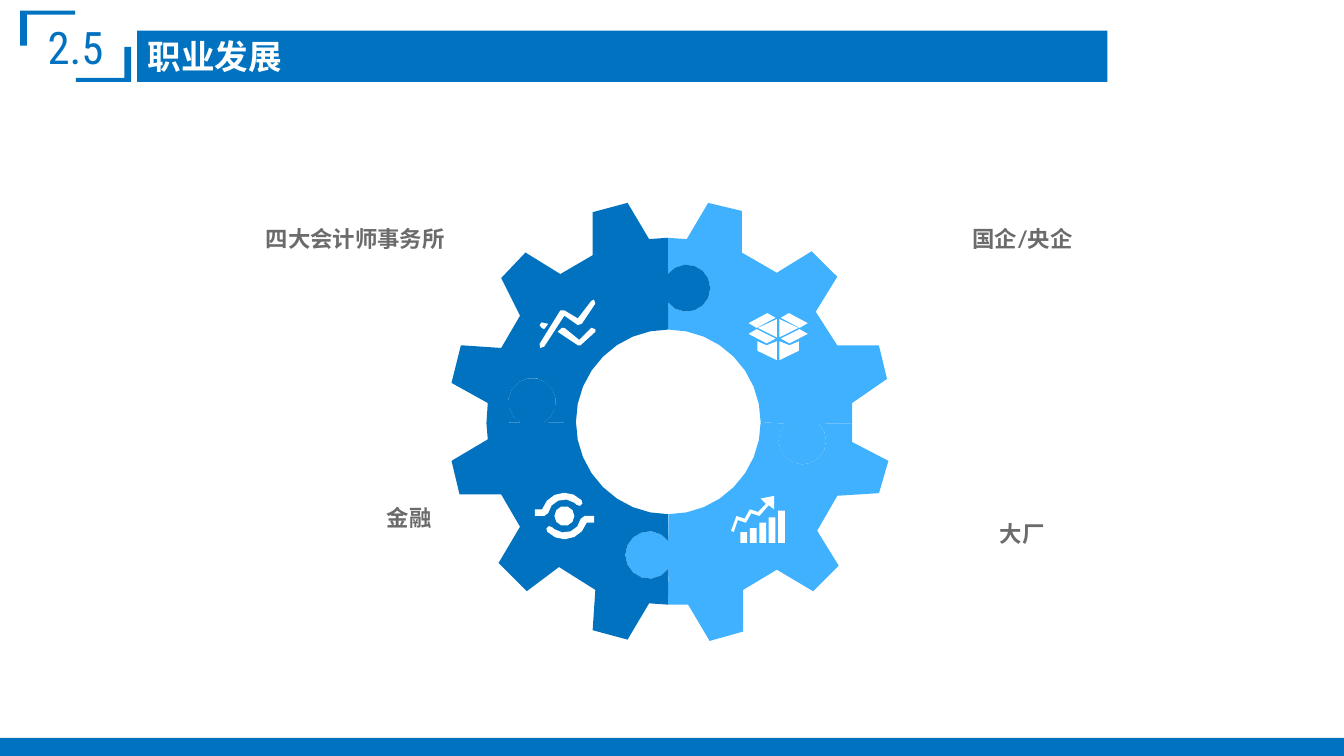
import math

import pptx
import pptx.dml.color
import pptx.enum.shapes
import pptx.enum.text
import pptx.util

BLUE, SKY, WHITE, GREY = "0072BF", "3FB1FF", "FFFFFF", "6B6B6B"
UNIT = 0.0254  # outline points are hundredths of an inch, in cm
SAG = 0.4  # how far a chord may stray from its arc, in the same unit

# An outline mixes points (x, y) and arcs (x, y, radius, from, to) in degrees.
RIGHT = (597, 328, 17.7, 225, -45)
LEFT = (396, 299, 17.7, 119, 423)
TOP = (511, 214.5, 17.5, 143, -143)
BASE = (483, 413, 17.7, 36, 324)


def flip(arc):
    """Run an arc the other way."""
    return arc[:3] + (arc[4], arc[3])


def hub(start, end):
    return (497.3, 314, 68.7, start, end)


PARTS = [
    (SKY, [hub(90, 0), RIGHT, (634, 315), (634, 329),
           (661, 343), (654, 367), (623, 369), (608, 395), (624, 421),
           (605, 440), (578, 424), (553, 439), (553, 470), (528, 477),
           (512, 450), (497, 450), BASE]),
    (SKY, [(634, 315), flip(RIGHT), hub(0, -90), TOP, (497, 177),
           (511, 178), (527, 151), (552, 157), (552, 188), (578, 203),
           (604, 187), (623, 206), (607, 232), (623, 257), (654, 257),
           (660, 282), (634, 300)]),
    (BLUE, [(497, 383), flip(BASE), (497, 450), (483, 449), (467, 476),
            (441, 469), (443, 439), (416, 422), (392, 440), (371, 419),
            (387, 392), (373, 368), (342, 368), (336, 343), (363, 327),
            (362, 315), LEFT, hub(180, 90)]),
    (BLUE, [hub(-90, -180), flip(LEFT), (362, 315), (363, 300),
            (336, 285), (343, 257), (373, 259), (387, 235), (373, 207),
            (391, 188), (417, 204), (441, 190), (441, 158), (467, 151),
            (483, 178), (497, 177), flip(TOP)]),
]


def turn(line):
    """Rotate an outline by half a turn about the eye."""
    return [(840 - p[0], 768 - p[1]) + ((p[2], p[3] + 180, p[4] + 180) if len(p) > 2 else ())
            for p in line]


def mirror(line):
    return [(1158 - x, y) for x, y in line]


TREND = [(559, 382), (565, 384), (572, 376), (576, 379), (576, 369),
         (566, 371), (570, 375), (564, 381), (558, 379), (554, 386), (548, 384),
         (544, 395), (546, 396), (549, 387), (555, 389)]
BARS = [[(x, 404), (x, y), (x + 5, y), (x + 5, 404)]
        for x, y in zip(range(551, 580, 7), (396, 393, 389, 385, 380))]
HALF = [
    [(564, 244), (578, 237.5), (578, 251)],
    [(577, 252), (563, 245), (557, 248.5), (570.5, 255.5)],
    [(577, 236.5), (571, 233), (557, 240.5), (563, 244)],
    [(563.5, 254), (570.5, 257), (578, 254), (578, 268), (563.5, 261)],
]
LOOP = [(435, 384), (442, 384), (442, 389), (436, 389),
        (420, 384, 17.3, 17, 137), (409, 394, 2.5, 137, 317), (420, 384, 12.3, 127, 10)]
EYE = [(420, 384, 7.4, 0, 360)]
ZIGZAG = [
    [(420, 235), (430, 242), (433, 241), (443, 226), (442, 223),
     (440, 224), (430, 237), (420, 231), (417, 231), (401.5, 256),
     (402, 259), (405, 258)],
    [(440, 244), (431, 253), (420, 244), (418, 244), (415, 247),
     (430, 257), (432, 257), (443, 247), (443, 245)],
    [(403, 244), (405, 245), (408, 241), (403, 240), (401.5, 242)],
]
ICONS = [[TREND] + BARS, HALF + [mirror(h) for h in HALF], [LOOP, turn(LOOP), EYE], ZIGZAG]

CORNER = [(56, 8), (56, 11), (20, 11), (20, 34), (15, 34), (15, 8)]
FRAME = [CORNER, [(112.5 - x, 69 - y) for x, y in CORNER]]

# text, left, top, width, height in cm, wrap
LABELS = [
    ("国企/央企", 18.08, 4.14, 2.44, 0.76, True),
    ("大厂", 18.62, 9.7, 1.37, 0.76, False),
    ("四大会计师事务所", 4.72, 4.14, 3.94, 0.76, False),
    ("金融", 7.04, 9.4, 1.37, 0.76, False),
]
ALIGN = pptx.enum.text.PP_ALIGN
PAD = {"margin_left": 0.2, "margin_right": 0.2, "margin_top": 0.1, "margin_bottom": 0.1}


def cm(*sizes):
    return [pptx.util.Cm(s) for s in sizes]


def tint(form, code):
    """Give a fill or a font colour from a hex string."""
    form.rgb = pptx.dml.color.RGBColor.from_string(code)


def paint(shape, code):
    shape.fill.solid()
    tint(shape.fill.fore_color, code)
    shape.line.fill.background()


def trace(line):
    """Turn an outline into points in EMU."""
    spots = []
    for part in line:
        if len(part) == 2:
            spots.append(part)
            continue
        x, y, r, start, end = part
        step = 2 * math.degrees(math.acos(1 - SAG / r))
        count = math.ceil(abs(end - start) / step)
        for i in range(count + 1):
            angle = math.radians(start + (end - start) * i / count)
            spots.append((x + r * math.cos(angle), y + r * math.sin(angle)))
    return [tuple(cm(x * UNIT, y * UNIT)) for x, y in spots]


def draw(home, lines, code):
    first, *rest = [trace(line) for line in lines]
    pen = home.build_freeform(*first[0], scale=1.0)
    pen.add_line_segments(first[1:], close=True)
    for spots in rest:
        pen.move_to(*spots[0])
        pen.add_line_segments(spots[1:], close=True)
    shape = pen.convert_to_shape()
    shape.shadow.inherit = False
    paint(shape, code)
    return shape


def write(shape, text, code, align, look, wrap=True, pad=None):
    frame = shape.text_frame
    frame.text = text
    frame.word_wrap = wrap
    frame.auto_size = pptx.enum.text.MSO_AUTO_SIZE.NONE
    for name, size in (pad or {}).items():
        setattr(frame, name, pptx.util.Cm(size))
    para = frame.paragraphs[0]
    para.alignment = align
    font = para.runs[0].font
    for name, value in look.items():
        setattr(font, name, value)
    tint(font.color, code)
    return frame


def main():
    deck = pptx.Presentation()
    deck.slide_width, deck.slide_height = cm(25.4, 14.29)
    slide = deck.slides.add_slide(deck.slide_layouts[5])
    shapes = slide.shapes
    middle = pptx.enum.text.MSO_ANCHOR.MIDDLE

    title = shapes.title
    title.left, title.top, title.width, title.height = cm(2.59, 0.58, 18.34, 0.97)
    paint(title, BLUE)
    look = {"name": "Arial", "size": pptx.util.Pt(18), "bold": True}
    write(title, "职业发展", WHITE, ALIGN.LEFT, look, pad=PAD).vertical_anchor = middle

    look = {"name": "Lato", "size": pptx.util.Pt(12), "bold": True}
    for text, *place, wrap in LABELS:
        write(shapes.add_textbox(*cm(*place)), text, GREY, ALIGN.RIGHT, look, wrap)

    gear = shapes.add_group_shape().shapes
    for (code, line), icon in zip(PARTS, ICONS):
        draw(gear, [line], code)
        draw(gear, icon, WHITE)

    foot = shapes.add_shape(pptx.enum.shapes.MSO_SHAPE.RECTANGLE, *cm(0, 13.95, 25.4, 0.34))
    foot.shadow.inherit = False
    paint(foot, BLUE)

    badge = draw(shapes, FRAME, BLUE)
    look = {"name": "Roboto Condensed", "size": pptx.util.Pt(24)}
    write(badge, "2.5", BLUE, ALIGN.CENTER, look, pad=PAD).vertical_anchor = middle

    deck.save("out.pptx")


if __name__ == "__main__":
    main()
